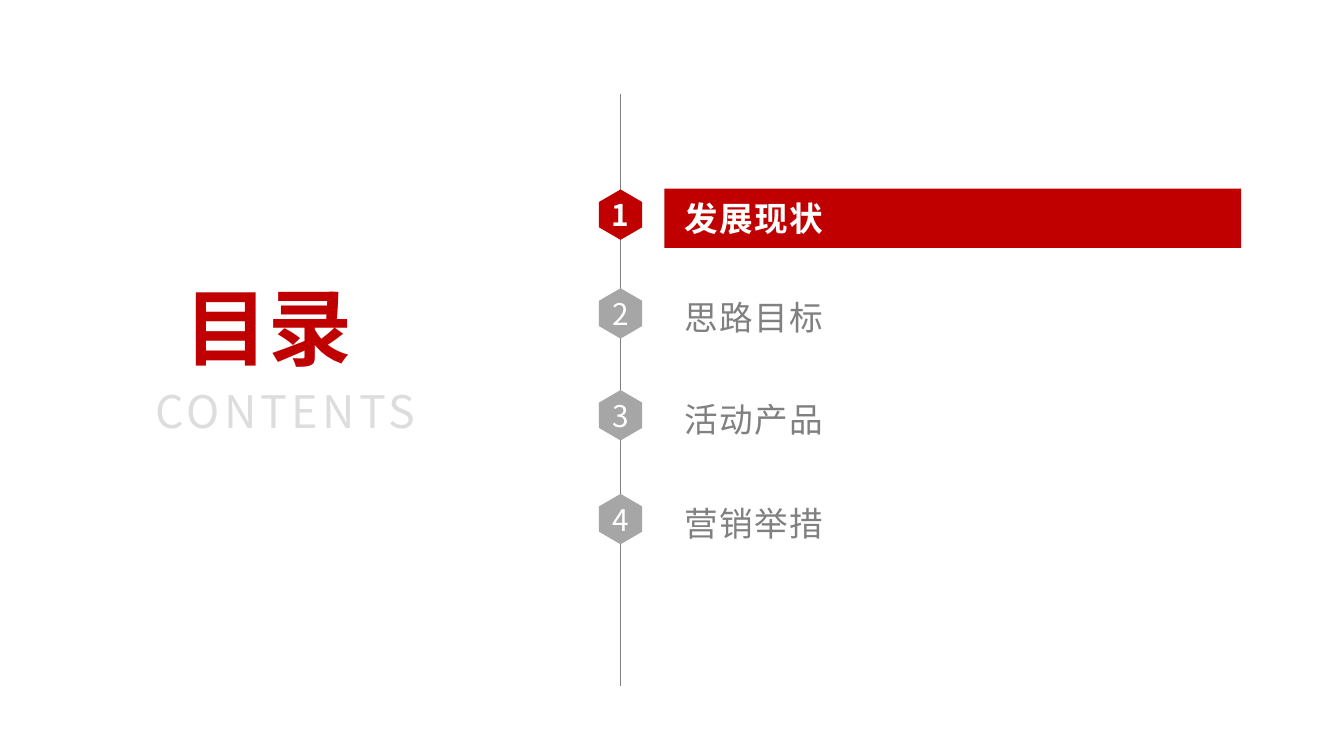
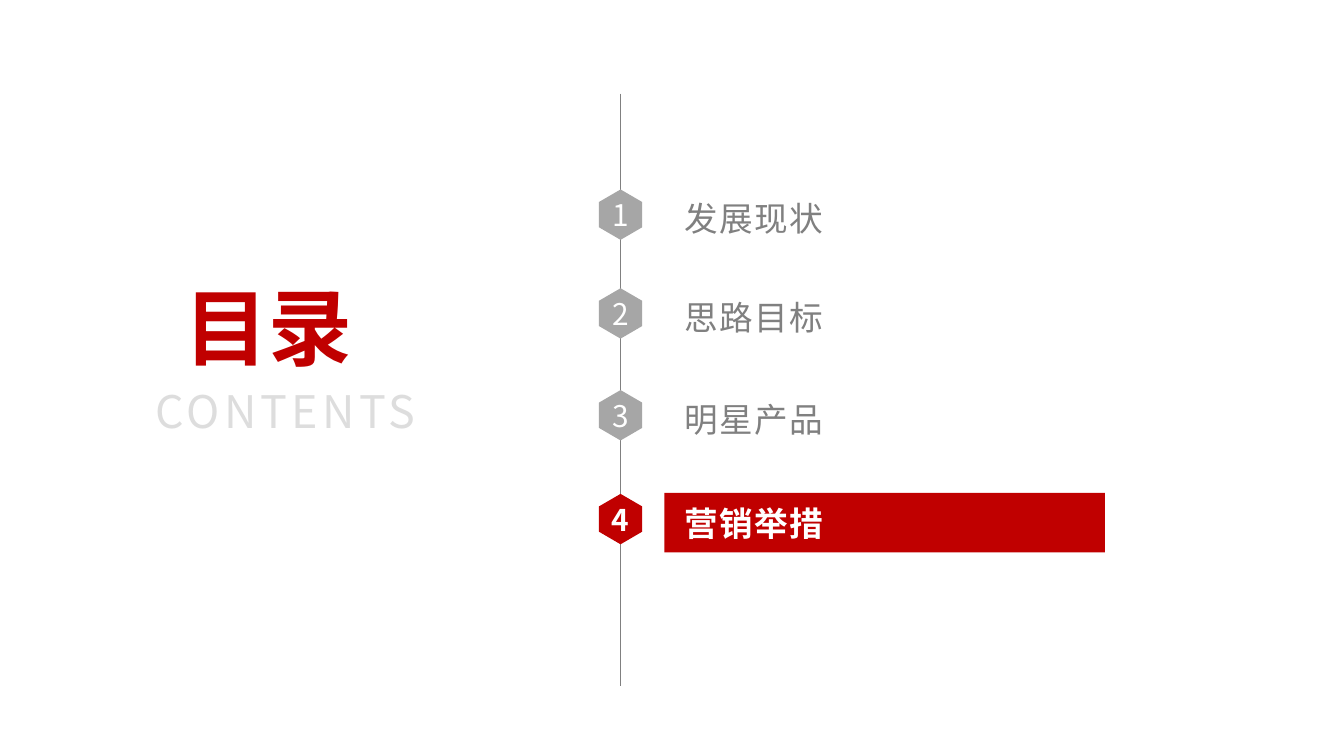
import pptx
import pptx.util
import pptx.dml.color
import pptx.enum.shapes
import pptx.enum.text
import pptx.oxml.ns
import lxml.etree

Inches = pptx.util.Inches
Pt = pptx.util.Pt
RGB = pptx.dml.color.RGBColor
Align = pptx.enum.text.PP_ALIGN
qn = pptx.oxml.ns.qn

# Content: topics and the number of the current one, per slide
SLIDES = [
    (["发展现状", "思路目标", "活动产品", "营销举措"], 1),
    (["发展现状", "思路目标", "明星产品", "营销举措"], 4),
]

# Shared style
FONT = "Noto Sans CJK SC"
RED = RGB(0xC0, 0x00, 0x00)
GRAY = RGB(0x80, 0x80, 0x80)
SILVER = RGB(0xA6, 0xA6, 0xA6)
PALE = RGB(0xDD, 0xDD, 0xDD)
WHITE = RGB(0xFF, 0xFF, 0xFF)

# Shared layout, in inches: top and bar width of each row
ROWS = [(1.87, 5.72), (2.85, 4.37), (3.86, 5.29), (4.89, 4.37)]
BAR_X, BAR_H = 6.59, 0.59
HEX_X, HEX_W, HEX_H, HEX_DROP = 5.94, 0.43, 0.5, 0.01
HEX = [(0.5, 0), (1, 0.25), (1, 0.75), (0.5, 1), (0, 0.75), (0, 0.25)]
AXIS_X, AXIS_TOP, AXIS_END = 6.15, 0.93, 6.81


def write(shape, text, size, color, bold=False, align=Align.LEFT,
          gap=0, inset=0.1, wrap=True):
    frame = shape.text_frame
    frame.word_wrap = wrap
    frame.vertical_anchor = pptx.enum.text.MSO_ANCHOR.MIDDLE
    frame.margin_left = Inches(inset)
    para = frame.paragraphs[0]
    para.text = text
    para.alignment = align
    font = para.font
    font.name, font.size, font.bold = FONT, Pt(size), bold
    font.color.rgb = color
    # East Asian font and letter spacing
    props = para._p.pPr.find(qn("a:defRPr"))
    latin = props.find(qn("a:latin"))
    latin.addnext(latin.makeelement(qn("a:ea"), {"typeface": FONT}))
    if gap:
        props.set("spc", str(gap * 100))


def paint(shape, color):
    shape.shadow.inherit = False
    shape.fill.solid()
    shape.fill.fore_color.rgb = color
    shape.line.fill.background()


def add_text(slide, box, *args, **style):
    shape = slide.shapes.add_textbox(*map(Inches, box))
    write(shape, *args, **style)


def add_axis(slide):
    line = slide.shapes.add_connector(
        pptx.enum.shapes.MSO_CONNECTOR.STRAIGHT,
        Inches(AXIS_X), Inches(AXIS_TOP), Inches(AXIS_X), Inches(AXIS_END))
    line.line.color.rgb = GRAY
    line.line.width = Pt(0.5)
    lxml.etree.SubElement(line._element.spPr, qn("a:effectLst"))


def add_hex(slide, top, number, active):
    points = [(Inches(HEX_X + x * HEX_W), Inches(top + y * HEX_H))
              for x, y in HEX]
    form = slide.shapes.build_freeform(*points[0])
    form.add_line_segments(points[1:], close=True)
    shape = form.convert_to_shape()
    paint(shape, RED if active else SILVER)
    write(shape, str(number), 21.3, WHITE, active, Align.CENTER)


def add_topic(slide, box, text, active):
    if active:
        bar = slide.shapes.add_shape(
            pptx.enum.shapes.MSO_SHAPE.RECTANGLE, *map(Inches, box))
        paint(bar, RED)
        write(bar, text, 24, WHITE, True, gap=1, inset=0.2)
    else:
        add_text(slide, box, text, 24, GRAY, gap=1, inset=0.2)


def add_agenda(deck, topics, current):
    slide = deck.slides.add_slide(deck.slide_layouts[6])
    add_axis(slide)
    rows = zip(topics, ROWS)
    for number, (text, (top, width)) in enumerate(rows, 1):
        active = number == current
        add_topic(slide, (BAR_X, top, width, BAR_H), text, active)
        add_hex(slide, top + HEX_DROP, number, active)
    # Heading on the left
    add_text(slide, (1.7, 2.8, 1.93, 0.86), "目录", 59.9, RED, True,
             Align.CENTER, wrap=False)
    add_text(slide, (1.33, 3.72, 3, 0.7), "CONTENTS", 32, PALE,
             align=Align.CENTER, gap=3, wrap=False)


def main():
    deck = pptx.Presentation()
    deck.slide_width, deck.slide_height = Inches(13.33), Inches(7.5)
    for topics, current in SLIDES:
        add_agenda(deck, topics, current)
    deck.save("out.pptx")


if __name__ == "__main__":
    main()
